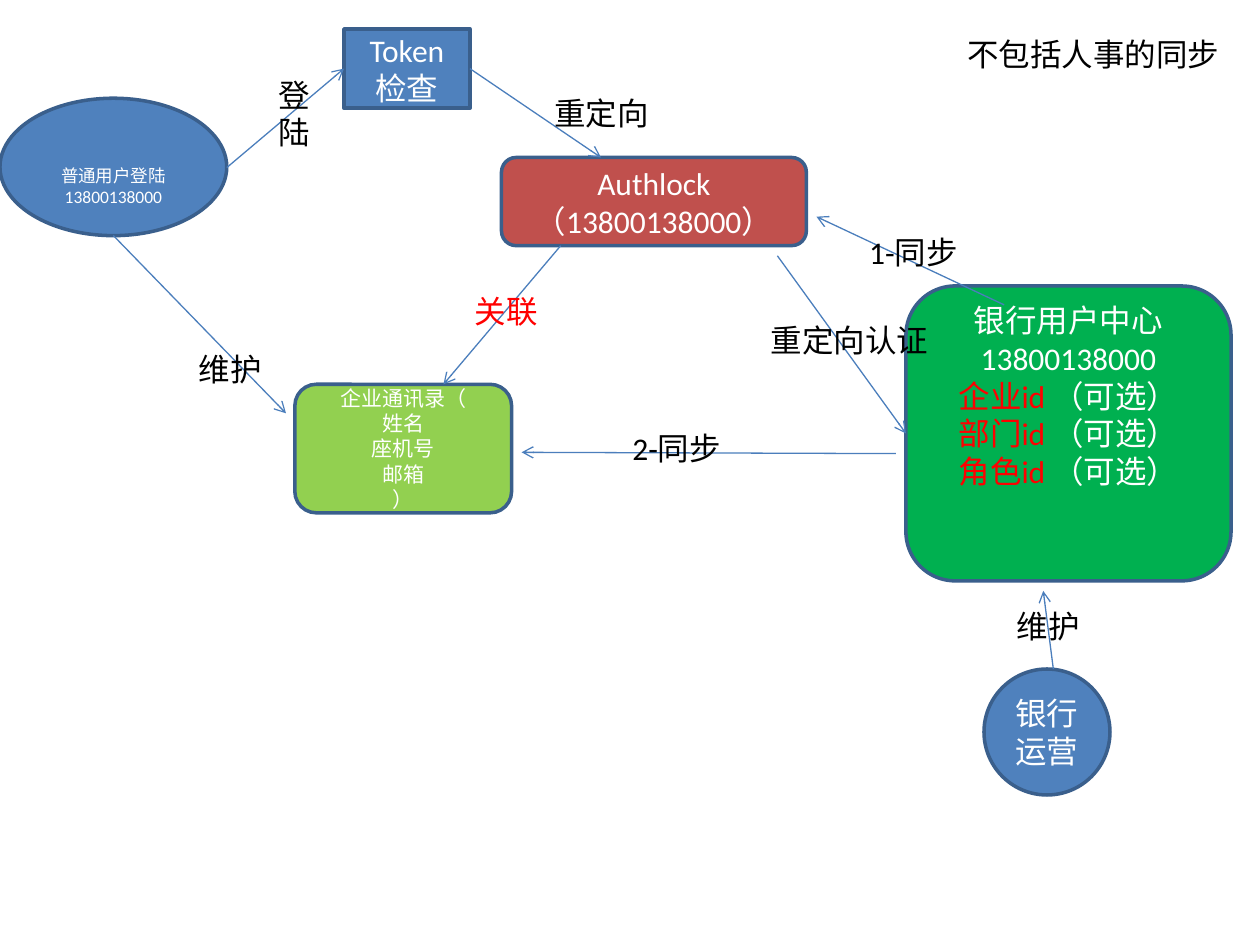
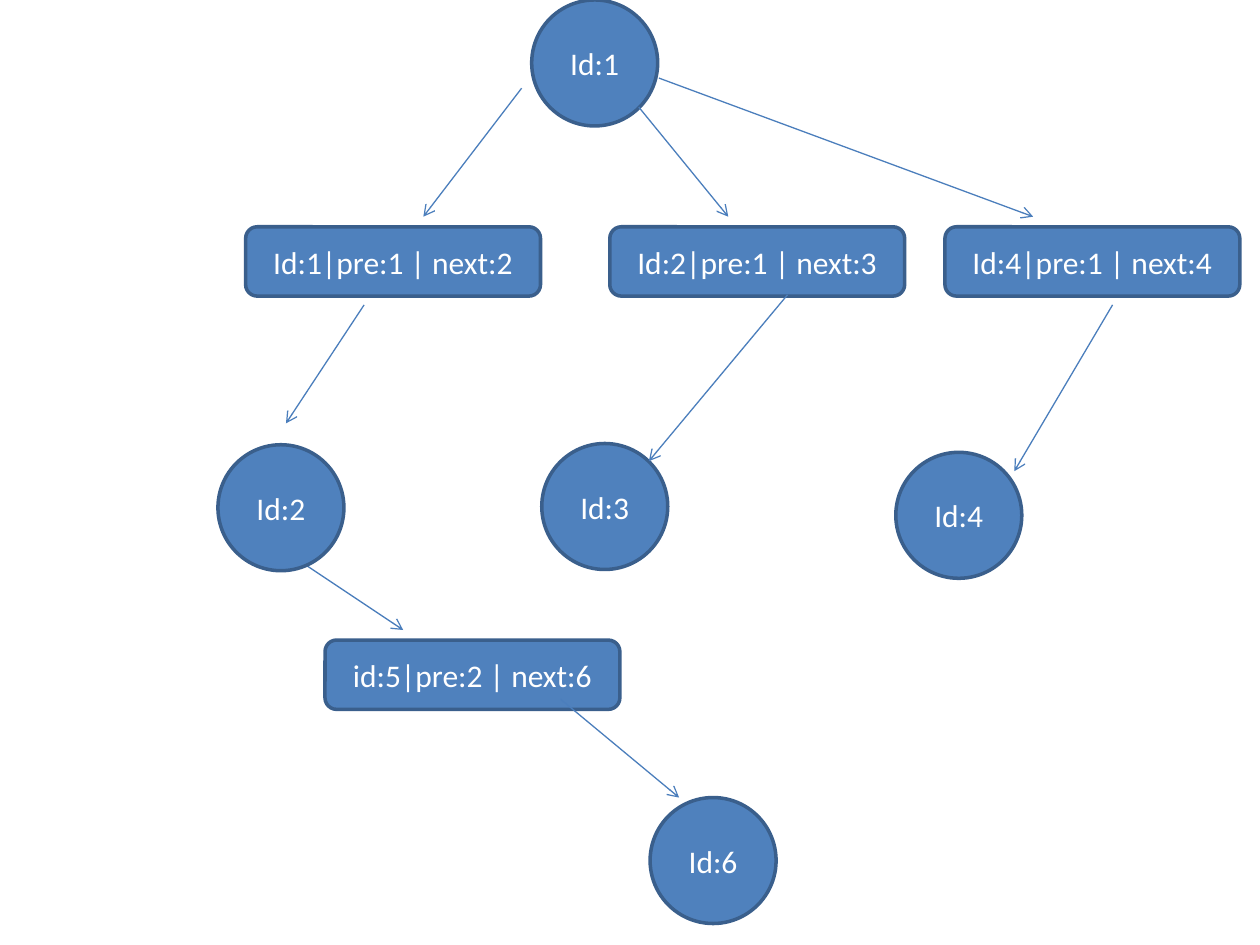
from pptx import Presentation
from pptx.dml.color import RGBColor
from pptx.enum.shapes import MSO_CONNECTOR, MSO_SHAPE
from pptx.enum.text import MSO_ANCHOR, PP_ALIGN
from pptx.oxml.ns import qn
from pptx.util import Inches, Pt
from lxml import etree

RECT, ROUND, OVAL = MSO_SHAPE.RECTANGLE, MSO_SHAPE.ROUNDED_RECTANGLE, MSO_SHAPE.OVAL
STRAIGHT = MSO_CONNECTOR.STRAIGHT
MIDDLE, CENTER = MSO_ANCHOR.MIDDLE, PP_ALIGN.CENTER
LEFT_SIDE, RIGHT_SIDE = 1, 3
COLORS = {
    "blue": "4F81BD", "edge": "3A5F8C", "arrow": "4B7EBC", "red": "C0504D",
    "green": "00B050", "lime": "92D050", "alert": "FF0000",
    "white": "FFFFFF", "black": "000000",
}
FONT = "Calibri"
PAGE = (0, 0, 10, 7.5)


def color(name):
    return RGBColor.from_string(COLORS[name])


def write(para, text, size, tint):
    run = para.add_run()
    run.text = text
    run.font.name, run.font.size = FONT, Pt(size)
    run.font.color.rgb = color(tint)


def node(slide, box, kind, spot, lines, fill="blue", size=18):
    """Each line is a list of (text, colour) runs or a plain string."""
    x, y, w, h = spot
    shape = slide.shapes.add_shape(
        kind, Inches(box[0] + x), Inches(box[1] + y), Inches(w), Inches(h))
    shape.shadow.inherit = False
    shape.fill.solid()
    shape.fill.fore_color.rgb = color(fill)
    shape.line.color.rgb = color("edge")
    shape.line.width = Pt(2)
    frame = shape.text_frame
    frame.word_wrap, frame.vertical_anchor = True, MIDDLE
    for i, line in enumerate(lines):
        para = frame.add_paragraph() if i else frame.paragraphs[0]
        para.alignment = CENTER
        for text, tint in [(line, "white")] if isinstance(line, str) else line:
            write(para, text, size, tint)
    return shape


def arrow(slide, box, start, end):
    ends = [Inches(box[i] + point[i]) for point in (start, end) for i in (0, 1)]
    link = slide.shapes.add_connector(STRAIGHT, *ends)
    link.line.color.rgb = color("arrow")
    link.line.width = Pt(0.75)
    props = link._element.spPr
    etree.SubElement(props.find(qn("a:ln")), qn("a:tailEnd"), type="arrow")
    etree.SubElement(props, qn("a:effectLst"))
    return link


def label(slide, box, spot, text, tint="black"):
    x, y, w, h = spot
    area = slide.shapes.add_textbox(
        Inches(box[0] + x), Inches(box[1] + y), Inches(w), Inches(h))
    area.text_frame.word_wrap = True
    write(area.text_frame.paragraphs[0], text, 18, tint)


def login_flow(slide, box):
    # Systems and users
    node(slide, box, ROUND, (3.98, 1.25, 2.42, 0.7),
         ["Authlock（13800138000）"], "red")
    fields = [[(name + "id", "alert"), (" （可选）", "white")]
              for name in ("企业", "部门", "角色")]
    center = node(slide, box, ROUND, (7.19, 2.27, 2.58, 2.34),
                  ["银行用户中心", "13800138000", *fields], "green")
    center.text_frame.margin_bottom = Inches(0.65)
    node(slide, box, ROUND, (2.34, 3.05, 1.72, 1.02),
         ["企业通讯录（", "姓名", "座机号", "邮箱", "）"], "lime", 12)
    user = node(slide, box, OVAL, (0, 0.78, 1.8, 1.09),
                ["普通用户登陆13800138000"], size=10)
    user.text_frame.margin_top = Inches(0.35)
    node(slide, box, OVAL, (7.81, 5.31, 1, 1), ["银行运营"])
    token = node(slide, box, RECT, (2.73, 0.23, 1, 0.63), ["Token检查"])

    # Arrows joined to a side
    arrow(slide, box, (1.8, 1.33), (2.73, 0.55)).end_connect(token, LEFT_SIDE)
    arrow(slide, box, (3.73, 0.55), (4.77, 1.25)).begin_connect(token, RIGHT_SIDE)
    arrow(slide, box, (6.17, 2.03), (7.19, 3.44)).end_connect(center, LEFT_SIDE)

    # Free arrows
    for start, end in [
        ((7.11, 3.6), (4.14, 3.59)), ((4.45, 1.95), (3.52, 3.05)),
        ((0.9, 1.87), (2.27, 3.28)), ((7.97, 2.42), (6.48, 1.72)),
        ((8.36, 5.31), (8.28, 4.69)),
    ]:
        arrow(slide, box, start, end)

    # Arrow labels and remark
    for x, y, w, text in [
        (4.92, 3.36, 0.91, "2-同步"), (6.02, 2.5, 1.46, "重定向认证"),
        (1.48, 2.73, 0.78, "维护"), (6.8, 1.8, 0.91, "1-同步"),
        (7.97, 4.77, 0.71, "维护"), (4.3, 0.7, 0.96, "重定向"),
        (7.58, 0.23, 2.22, "不包括人事的同步"),
    ]:
        label(slide, box, (x, y, w, 0.4), text)
    label(slide, box, (2.11, 0.55, 0.23, 0.71), "登陆")
    label(slide, box, (3.67, 2.27, 0.71, 0.4), "关联", "alert")


def id_tree(slide, box):
    # Arrow that starts behind its circle
    arrow(slide, box, (2.03, 4.22), (3.2, 5))

    # Id circles
    for x, y, num in [(4.22, 0, 1), (1.73, 3.53, 2), (4.3, 3.52, 3),
                      (7.11, 3.59, 4), (5.16, 6.33, 6)]:
        node(slide, box, OVAL, (x, y, 1, 1), [f"Id:{num}"])

    # Link records
    for x, y, text in [
        (1.95, 1.8, "Id:1|pre:1 | next:2"), (4.84, 1.8, "Id:2|pre:1 | next:3"),
        (7.5, 1.8, "Id:4|pre:1 | next:4"), (2.58, 5.08, "id:5|pre:2 | next:6"),
    ]:
        node(slide, box, ROUND, (x, y, 2.34, 0.55), [text])

    # Arrows down the tree
    for start, end in [
        ((4.14, 0.7), (3.36, 1.72)), ((5.07, 0.85), (5.78, 1.72)),
        ((5.23, 0.62), (8.2, 1.72)), ((2.89, 2.42), (2.27, 3.36)),
        ((6.25, 2.34), (5.15, 3.66)), ((8.83, 2.42), (8.05, 3.74)),
        ((4.45, 5.55), (5.39, 6.33)),
    ]:
        arrow(slide, box, start, end)


def main():
    deck = Presentation()
    deck.slide_width, deck.slide_height = Inches(PAGE[2]), Inches(PAGE[3])
    for build in (login_flow, id_tree):
        build(deck.slides.add_slide(deck.slide_layouts[6]), PAGE)
    deck.save("out.pptx")


if __name__ == "__main__":
    main()
